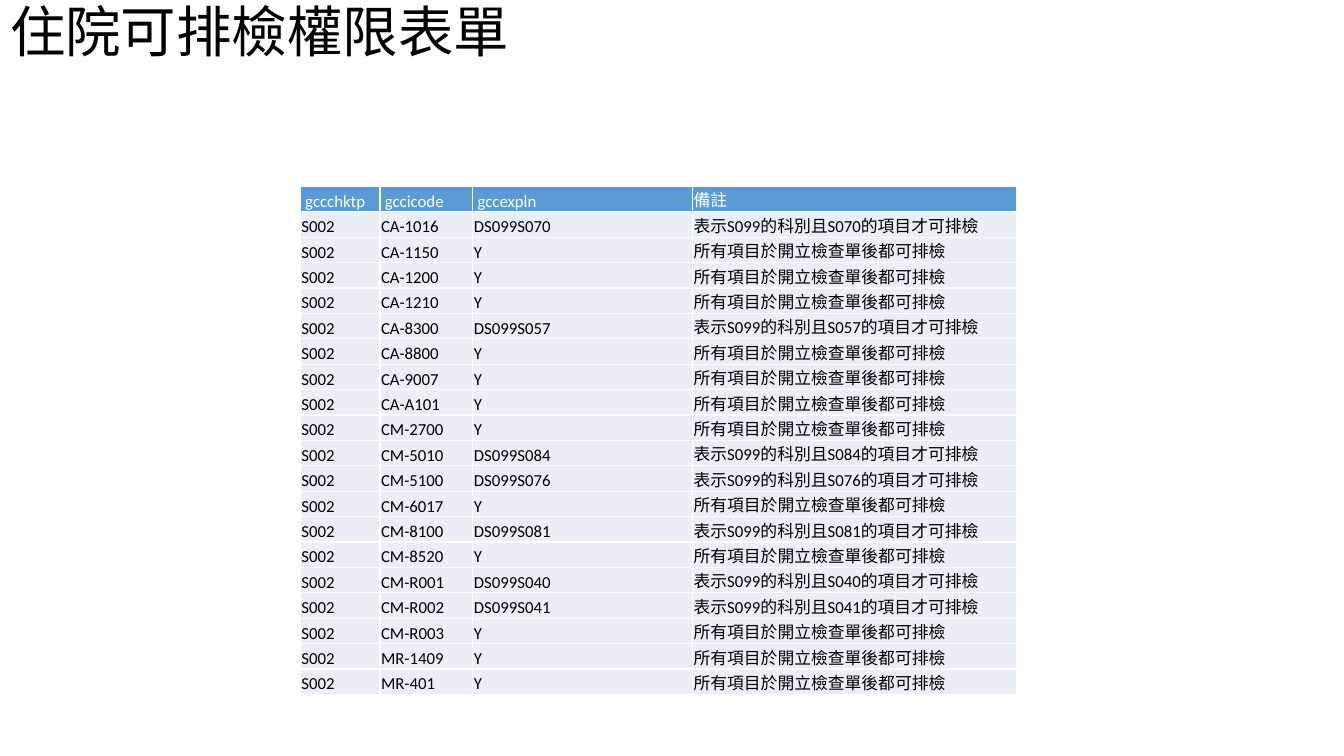
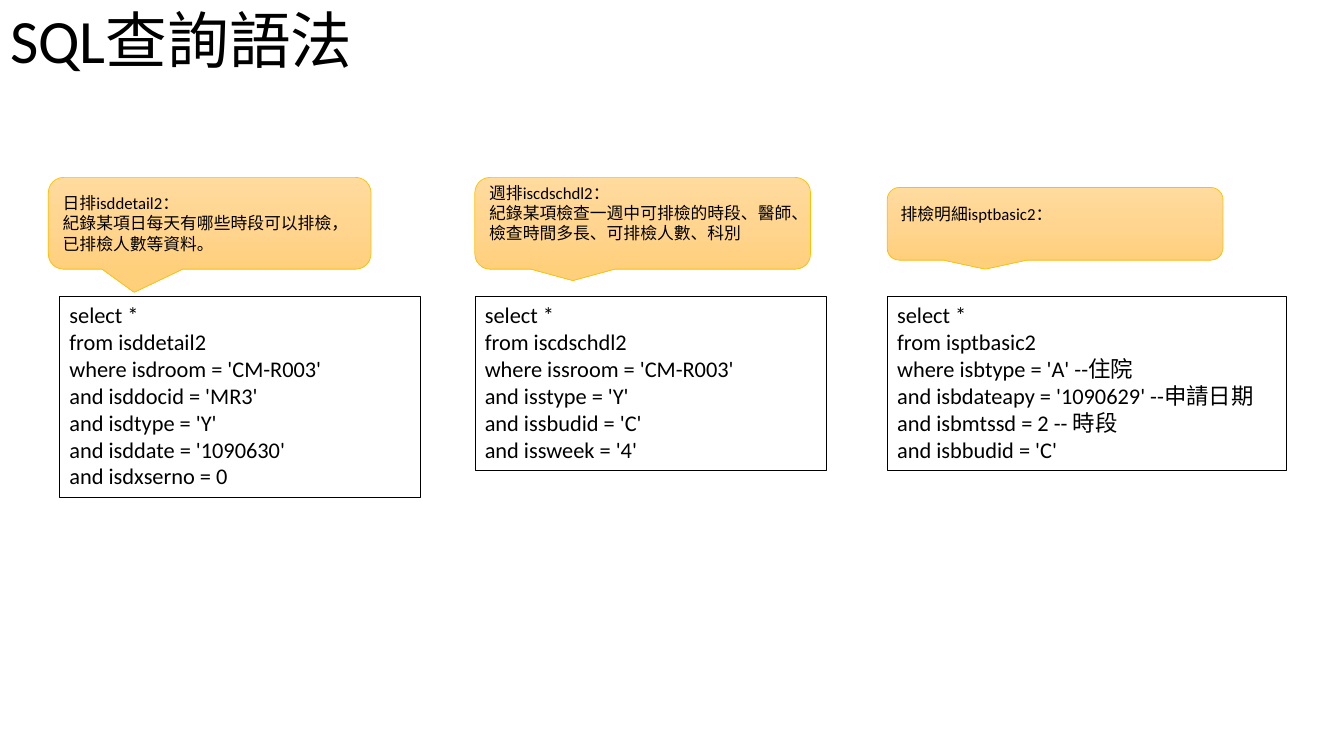
from copy import deepcopy
from dataclasses import dataclass

from lxml import etree
from pptx import Presentation
from pptx.dml.color import RGBColor
from pptx.enum.shapes import MSO_SHAPE
from pptx.enum.text import MSO_ANCHOR, MSO_AUTO_SIZE, PP_ALIGN
from pptx.oxml.ns import qn
from pptx.util import Inches, Pt


@dataclass(frozen=True)
class Theme:
    font: str = "Calibri"
    black: RGBColor = RGBColor(0x00, 0x00, 0x00)
    white: RGBColor = RGBColor(0xFF, 0xFF, 0xFF)
    header: RGBColor = RGBColor(0x5B, 0x9B, 0xD5)
    row: RGBColor = RGBColor(0xEA, 0xEF, 0xF7)
    callout_line: RGBColor = RGBColor(0xFF, 0xC0, 0x00)
    callout_stops: tuple = ((0, "FFDB9E"), (0.5, "FFD590"), (1, "FFD07C"))
    table_size: float = 12
    note_size: float = 12
    code_size: float = 16


THEME = Theme()

# Content: permission table
TABLE_TITLE = "住院可排檢權限表單"
HEADERS = [" gccchktp", " gccicode", " gccexpln", "備註"]
CHECK_TYPE = "S002"
PERMISSIONS = [
    ("CA-1016", "DS099S070"), ("CA-1150", "Y"), ("CA-1200", "Y"),
    ("CA-1210", "Y"), ("CA-8300", "DS099S057"), ("CA-8800", "Y"),
    ("CA-9007", "Y"), ("CA-A101", "Y"), ("CM-2700", "Y"),
    ("CM-5010", "DS099S084"), ("CM-5100", "DS099S076"), ("CM-6017", "Y"),
    ("CM-8100", "DS099S081"), ("CM-8520", "Y"), ("CM-R001", "DS099S040"),
    ("CM-R002", "DS099S041"), ("CM-R003", "Y"), ("MR-1409", "Y"),
    ("MR-401", "Y"),
]
COLUMN_WIDTHS = [0.79, 0.92, 2.18, 3.21]
ROW_HEIGHT = 0.23

# Content: queries; "callout" and "code" hold left and width
QUERY_TITLE = "SQL查詢語法"
QUERIES = [
    {
        "callout": (0.48, 3.2), "callout_top": 1.76, "callout_height": 0.91,
        "pointer": (-0.234, 0.753), "bottom_inset": 0.05,
        "note": ["日排isddetail2：",
                 "紀錄某項日每天有哪些時段可以排檢，已排檢人數等資料。"],
        "code": (0.59, 3.58),
        "sql": ["select *", "from isddetail2", "where isdroom = 'CM-R003'",
                "and isddocid = 'MR3'", "and isdtype = 'Y'",
                "and isddate = '1090630'", "and isdxserno = 0"],
    },
    {
        "callout": (4.71, 3.33), "callout_top": 1.76, "callout_height": 0.91,
        "pointer": (-0.208, 0.625), "bottom_inset": 0.25,
        "note": ["週排iscdschdl2：",
                 "紀錄某項檢查一週中可排檢的時段、醫師、檢查時間多長、"
                 "可排檢人數、科別"],
        "code": (4.71, 3.48),
        "sql": ["select *", "from iscdschdl2", "where issroom = 'CM-R003'",
                "and isstype = 'Y'", "and issbudid = 'C'",
                "and issweek = '4'"],
    },
    {
        "callout": (8.8, 3.33), "callout_top": 1.86, "callout_height": 0.72,
        "pointer": (-0.208, 0.625), "bottom_inset": 0.25,
        "note": ["排檢明細isptbasic2："],
        "code": (8.8, 3.96),
        "sql": ["select *", "from isptbasic2", "where isbtype = 'A' --住院",
                "and isbdateapy = '1090629' --申請日期",
                "and isbmtssd = 2 -- 時段", "and isbbudid = 'C'"],
    },
]
CODE_TOP = 2.94
CODE_LINE = 0.27
CODE_PADDING = 0.1


def write_lines(text_frame, lines, size, color=THEME.black):
    """Write one left-aligned paragraph per line."""
    for index, line in enumerate(lines):
        paragraph = text_frame.paragraphs[0] if index == 0 else text_frame.add_paragraph()
        paragraph.text = line
        paragraph.alignment = PP_ALIGN.LEFT
        font = paragraph.font
        font.name, font.size, font.bold = THEME.font, Pt(size), False
        font.color.rgb = color


def add_titled_slide(presentation, title_text, size, height):
    slide = presentation.slides.add_slide(presentation.slide_layouts[5])
    title = slide.shapes.title
    title.left, title.top = Inches(0), Inches(0)
    title.width, title.height = Inches(11.5), Inches(height)
    text_frame = title.text_frame
    text_frame.auto_size = MSO_AUTO_SIZE.NONE
    text_frame.vertical_anchor = MSO_ANCHOR.MIDDLE
    write_lines(text_frame, [title_text], size)
    text_frame.paragraphs[0].line_spacing = 0.9
    return slide


def remark(rule):
    if rule == "Y":
        return "所有項目於開立檢查單後都可排檢"
    return f"表示{rule[1:5]}的科別且{rule[5:]}的項目才可排檢"


def add_borders(cell, color):
    properties = cell._tc.get_or_add_tcPr()
    for position, side in enumerate(("lnL", "lnR", "lnT", "lnB")):
        line = etree.Element(qn(f"a:{side}"), w=str(Pt(1)))
        solid = etree.SubElement(line, qn("a:solidFill"))
        etree.SubElement(solid, qn("a:srgbClr"), val=str(color))
        properties.insert(position, line)


def format_cell(cell, text, fill, color):
    cell.fill.solid()
    cell.fill.fore_color.rgb = fill
    cell.margin_left = cell.margin_right = cell.margin_top = Inches(0.01)
    cell.margin_bottom = Inches(0)
    cell.vertical_anchor = MSO_ANCHOR.BOTTOM
    write_lines(cell.text_frame, [text], THEME.table_size, color)
    add_borders(cell, THEME.white)


def add_permission_table(slide):
    rows = [HEADERS] + [(CHECK_TYPE, code, rule, remark(rule))
                        for code, rule in PERMISSIONS]
    table = slide.shapes.add_table(
        len(rows), len(HEADERS), Inches(2.98), Inches(1.85),
        Inches(sum(COLUMN_WIDTHS)), Inches(ROW_HEIGHT * len(rows))).table
    table.horz_banding = False
    for column, width in zip(table.columns, COLUMN_WIDTHS):
        column.width = Inches(width)
    for row_index, values in enumerate(rows):
        table.rows[row_index].height = Inches(ROW_HEIGHT)
        fill, color = ((THEME.header, THEME.white) if row_index == 0
                       else (THEME.row, THEME.black))
        for column_index, value in enumerate(values):
            format_cell(table.cell(row_index, column_index), value, fill, color)


def fill_gradient(shape, stops):
    """Fill from top to bottom with three colour stops."""
    shape.fill.gradient()
    shape.fill.gradient_angle = 270
    stop_list = shape._element.spPr.find(qn("a:gradFill")).find(qn("a:gsLst"))
    stop_list.append(deepcopy(stop_list[0]))
    for stop, (position, color) in zip(shape.fill.gradient_stops, stops):
        stop.position = position
        stop.color.rgb = RGBColor.from_string(color)


def add_callout(slide, query):
    left, width = query["callout"]
    callout = slide.shapes.add_shape(
        MSO_SHAPE.ROUNDED_RECTANGULAR_CALLOUT, Inches(left),
        Inches(query["callout_top"]), Inches(width),
        Inches(query["callout_height"]))
    callout.shadow.inherit = False
    callout.adjustments[0], callout.adjustments[1] = query["pointer"]
    fill_gradient(callout, THEME.callout_stops)
    callout.line.color.rgb = THEME.callout_line
    callout.line.width = Pt(0.5)
    text_frame = callout.text_frame
    text_frame.word_wrap = True
    text_frame.vertical_anchor = MSO_ANCHOR.MIDDLE
    text_frame.margin_bottom = Inches(query["bottom_inset"])
    write_lines(text_frame, query["note"], THEME.note_size)


def add_code_box(slide, query):
    left, width = query["code"]
    height = CODE_PADDING + CODE_LINE * len(query["sql"])
    box = slide.shapes.add_textbox(
        Inches(left), Inches(CODE_TOP), Inches(width), Inches(height))
    box.line.color.rgb = THEME.black
    box.line.width = Pt(0.25)
    box.text_frame.word_wrap = True
    box.text_frame.auto_size = MSO_AUTO_SIZE.SHAPE_TO_FIT_TEXT
    write_lines(box.text_frame, query["sql"], THEME.code_size)


def main():
    presentation = Presentation()
    presentation.slide_width = Inches(13.33)
    presentation.slide_height = Inches(7.5)

    # Permission table
    slide = add_titled_slide(presentation, TABLE_TITLE, 39.6, 0.68)
    add_permission_table(slide)

    # Queries with their explanations
    slide = add_titled_slide(presentation, QUERY_TITLE, 44, 0.86)
    for query in QUERIES:
        add_code_box(slide, query)
        add_callout(slide, query)

    presentation.save("out.pptx")


if __name__ == "__main__":
    main()
